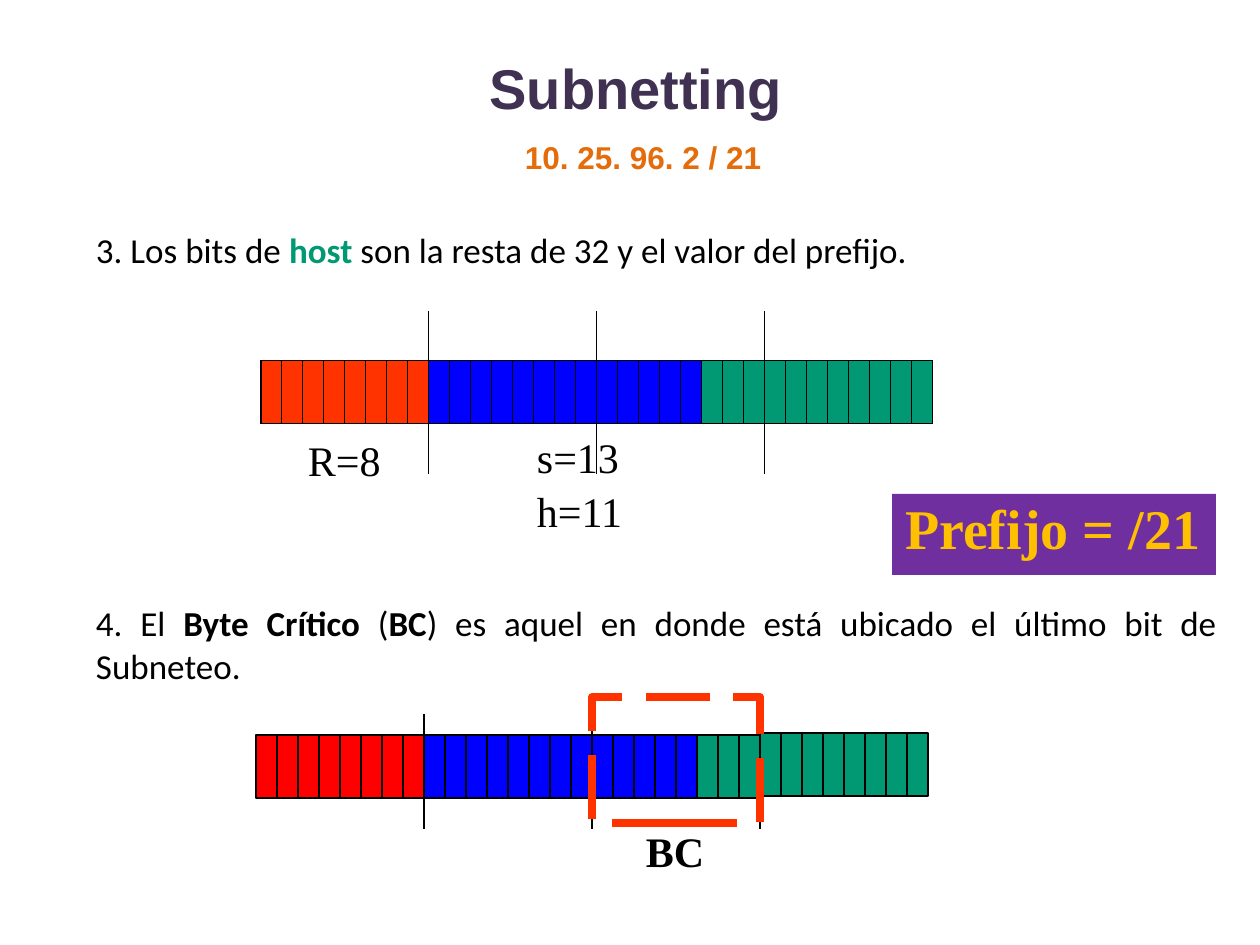
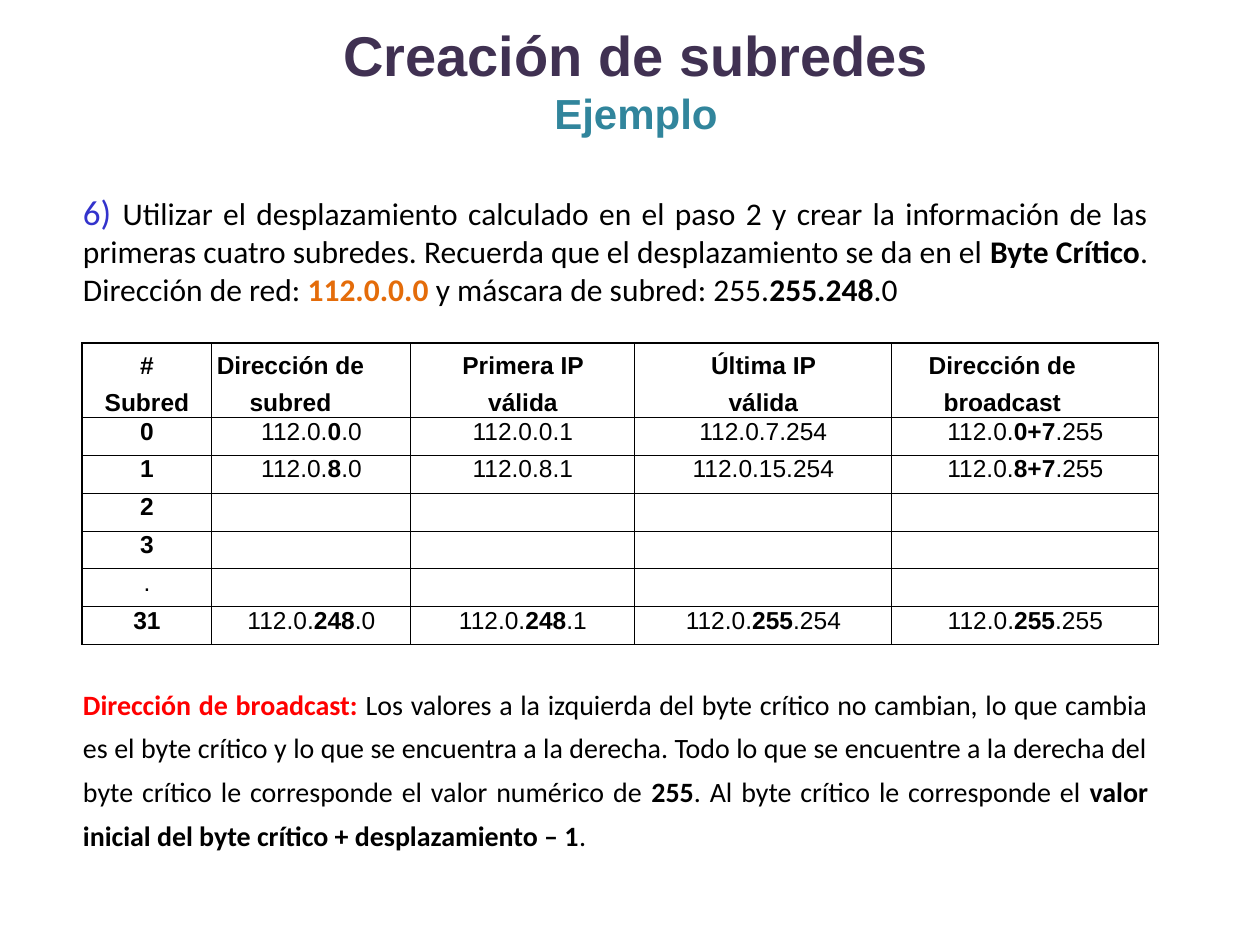
from lxml import etree
from pptx import Presentation
from pptx import util as u
from pptx.dml.color import RGBColor
from pptx.enum import dml, shapes, text
from pptx.oxml import ns

PX = u.Inches(1) / 126
BLACK, RED, BLUE, GREEN = "000000", "FF3300", "0000FF", "009973"
PURPLE, ORANGE, TEAL = "403152", "E46C0A", "31859C"
LINE_PT = 0.72
NO_STYLE = "{2D5ABB26-0587-4C30-8999-92F81FD0307C}"
LEFT, CENTER, JUSTIFY = (text.PP_ALIGN.LEFT, text.PP_ALIGN.CENTER,
                         text.PP_ALIGN.JUSTIFY)
BOLD = {"bold": True}

# A paragraph is a list of runs: plain text, or (text, format).
HOST_STEP = ["3. Los bits de ", ("host", {"bold": True, "color": GREEN}),
             " son la resta de 32 y el valor del prefijo."]
CRITICAL_STEP = ["4. El ", ("Byte Crítico", BOLD), " (", ("BC", BOLD),
                 ") es aquel en donde está ubicado el último bit de Subneteo."]
SUBNET_STEP = [
    ("6) ", {"size": 20, "color": "3333CC"}),
    "Utilizar el desplazamiento calculado en el paso 2 y crear la información "
    "de las primeras cuatro subredes. Recuerda que el desplazamiento se da en el ",
    ("Byte Crítico", BOLD), ". Dirección de red: ",
    ("112.0.0.0 ", {"bold": True, "color": ORANGE}),
    "y máscara de subred: 255.", ("255.248", BOLD), ".0"]
BROADCAST_NOTE = [
    ("Dirección de broadcast: ", {"bold": True, "color": "FF0000"}),
    "Los valores a la izquierda del byte crítico no cambian, lo que cambia es "
    "el byte crítico y lo que se encuentra a la derecha. Todo lo que se "
    "encuentre a la derecha del byte crítico le corresponde el valor numérico de ",
    ("255", BOLD), ". Al byte crítico le corresponde el ",
    ("valor inicial del byte crítico + desplazamiento – 1", BOLD), "."]

# Address bits: 8 of network, 13 of subnet, 11 of host.
BIT, BIT_H, BYTE = 21, 63, 8
BIT_COLORS = [RED] * 8 + [BLUE] * 13 + [GREEN] * 11
# First bit, number of bits, colour, lift
BIT_BLOCKS = [(0, 8, "FF0000", 0), (24, 8, GREEN, 2), (8, 8, BLUE, 0),
              (16, 5, BLUE, 0), (21, 3, GREEN, 0)]

# Header paragraphs, left margin, right margin, column width
SUBNET_COLS = [([["#"], ["Subred"]], 0, 0, 130),
               ([["Dirección de subred"]], 0, 42, 199),
               ([["Primera IP válida"]], 25, 25, 224),
               ([["Última IP válida"]], 55, 55, 257),
               ([["Dirección de broadcast"]], 13, 59, 267)]
# Number, then addresses as (start, critical byte in bold, end)
SUBNETS = [
    ("0", ("112.0.", "0", ".0"), "112.0.0.1", "112.0.7.254",
     ("112.0.", "0+7", ".255")),
    ("1", ("112.0.", "8", ".0"), "112.0.8.1", "112.0.15.254",
     ("112.0.", "8+7", ".255")),
    ("2", "", "", "", ""),
    ("3", "", "", "", ""),
    (".", "", "", "", ""),
    ("31", ("112.0.", "248", ".0"), ("112.0.", "248", ".1"),
     ("112.0.", "255", ".254"), ("112.0.", "255", ".255"))]


def px(*lengths):
    return [round(n * PX) for n in lengths]


def rgb(color):
    return RGBColor.from_string(color)


def write(tf, paragraphs, size, font="Calibri", color=BLACK, bold=False,
          align=LEFT, leading=None, before=0):
    for i, runs in enumerate(paragraphs):
        p = tf.paragraphs[0] if i == 0 else tf.add_paragraph()
        p.alignment = align
        if leading:
            p.line_spacing = u.Pt(leading)
        if i and before:
            p.space_before = u.Pt(before)
        for run in runs:
            words, fmt = (run, {}) if isinstance(run, str) else run
            r = p.add_run()
            r.text = words
            r.font.name = fmt.get("font", font)
            r.font.size = u.Pt(fmt.get("size", size))
            r.font.bold = fmt.get("bold", bold)
            r.font.color.rgb = rgb(fmt.get("color", color))


def set_margins(box, left=0, top=0, right=0, bottom=0):
    (box.margin_left, box.margin_top,
     box.margin_right, box.margin_bottom) = px(left, top, right, bottom)


def add_text(s, at, paragraphs, size, margins=(0, 0, 0, 0), **fmt):
    tf = s.shapes.add_textbox(*px(*at)).text_frame
    tf.word_wrap = True
    set_margins(tf, *margins)
    write(tf, paragraphs, size, **fmt)


def add_title(s, top, title, subtitle=None):
    sp = s.shapes.title
    sp.left, sp.top, sp.width, sp.height = px(12, top, 1235, 158)
    tf = sp.text_frame
    tf.auto_size = text.MSO_AUTO_SIZE.NONE
    tf.vertical_anchor = text.MSO_ANCHOR.MIDDLE
    set_margins(tf, 13, 6, 13, 6)
    lines = [[title]]
    if subtitle:
        lines.append([(subtitle, {"size": 24, "color": TEAL})])
    write(tf, lines, 32, font="Arial", color=PURPLE, bold=True, align=CENTER)
    tf.paragraphs[0]._p.get_or_add_pPr().set("marL", str(px(13)[0]))


def add_rect(s, at, fill=None, line=None, width=LINE_PT):
    sp = s.shapes.add_shape(shapes.MSO_SHAPE.RECTANGLE, *px(*at))
    sp.shadow.inherit = False
    if fill:
        sp.fill.solid()
        sp.fill.fore_color.rgb = rgb(fill)
    else:
        sp.fill.background()
    if line:
        sp.line.color.rgb = rgb(line)
        sp.line.width = u.Pt(width)
    else:
        sp.line.fill.background()
    return sp


def add_vertical(s, x, top, height):
    c = s.shapes.add_connector(shapes.MSO_CONNECTOR.STRAIGHT,
                               *px(x, top, x, top + height))
    c.line.color.rgb = rgb(BLACK)
    c.line.width = u.Pt(LINE_PT)
    etree.SubElement(c._element.spPr, ns.qn("a:effectLst"))


def add_plain_table(s, at, widths, heights):
    table = s.shapes.add_table(len(heights), len(widths), *px(*at)).table
    table.first_row = table.horz_banding = False
    table._tbl.tblPr.find(ns.qn("a:tableStyleId")).text = NO_STYLE
    for col, w in zip(table.columns, px(*widths)):
        col.width = w
    for row, h in zip(table.rows, px(*heights)):
        row.height = h
    for cell in table.iter_cells():
        set_margins(cell)
    return table


def set_borders(cell, sides="LRTB"):
    tcPr = cell._tc.get_or_add_tcPr()
    for side in sides:
        ln = etree.SubElement(tcPr, ns.qn(f"a:ln{side}"), w=str(u.Pt(LINE_PT)))
        fill = etree.SubElement(ln, ns.qn("a:solidFill"))
        etree.SubElement(fill, ns.qn("a:srgbClr"), val=BLACK)


def add_bit_table(s, left, top):
    bits = len(BIT_COLORS)
    heights = [50, BIT_H, 50]
    table = add_plain_table(s, (left, top, bits * BIT, sum(heights)),
                            [BIT] * bits, heights)
    for row in (0, 2):
        for first in range(0, bits, BYTE):
            cell = table.cell(row, first)
            cell.merge(table.cell(row, first + BYTE - 1))
            set_borders(cell, ("L" if first else "")
                        + ("R" if first + BYTE < bits else ""))
            cell.fill.background()
    for col, color in enumerate(BIT_COLORS):
        cell = table.cell(1, col)
        set_borders(cell)
        cell.fill.solid()
        cell.fill.fore_color.rgb = rgb(color)


def add_bit_bar(s, left, top):
    for first, count, color, lift in BIT_BLOCKS:
        x, y = left + first * BIT, top - lift
        add_rect(s, (x, y, count * BIT, BIT_H), color, BLACK)
        for i in range(1, count):
            add_vertical(s, x + i * BIT, y, BIT_H)
    for byte in (1, 2, 3):
        add_vertical(s, left + byte * BYTE * BIT, top - 21, 115)
    frame = add_rect(s, (left + 2 * BYTE * BIT, top - 38, BYTE * BIT, 126),
                     line=RED, width=4.56)
    frame.line.dash_style = dml.MSO_LINE.LONG_DASH


def add_subnet_table(s, left, top):
    widths = [col[3] for col in SUBNET_COLS]
    heights = [75] + [226 / len(SUBNETS)] * len(SUBNETS)
    table = add_plain_table(s, (left, top, sum(widths), sum(heights)),
                            widths, heights)
    for cell in table.iter_cells():
        set_borders(cell)
        cell.fill.background()
    for c, (header, before, after, _) in enumerate(SUBNET_COLS):
        cell = table.cell(0, c)
        set_margins(cell, left=before, right=after)
        write(cell.text_frame, header, 14, font="Arial", bold=True,
              align=CENTER, leading=21)
    for r, subnet in enumerate(SUBNETS, 1):
        for c, value in enumerate(subnet):
            if isinstance(value, str):
                runs = [value]
            else:
                runs = [value[0], (value[1], BOLD), value[2]]
            write(table.cell(r, c).text_frame, [runs], 14, font="Arial",
                  bold=c == 0 and value != ".", align=CENTER)


def build_subnetting(s):
    serif = {"font": "Times New Roman"}
    add_title(s, 8, "Subnetting")
    add_text(s, (512, 132, 630, 50), [["10. 25. 96. 2 / 21"]], 18,
             margins=(13, 6, 13, 6), font="Arial", color=ORANGE, bold=True)
    add_text(s, (96, 228, 1041, 43), [HOST_STEP], 20)
    add_text(s, (96, 602, 1121, 84), [CRITICAL_STEP], 20, align=JUSTIFY)
    add_bit_table(s, 261, 311)
    add_text(s, (308, 434, 100, 45), [["R=8"]], 24, **serif)
    add_text(s, (537, 432, 343, 99), [["s=13"], ["h=11"]], 24, before=1.5, **serif)
    add_bit_bar(s, 256, 735)
    add_text(s, (646, 825, 100, 45), [["BC"]], 24, bold=True, **serif)
    tf = add_rect(s, (892, 494, 324, 81), "6F2F9F").text_frame
    tf.vertical_anchor = text.MSO_ANCHOR.TOP
    set_margins(tf, left=13)
    write(tf, [["Prefijo = /21"]], 32, color="FFC000", bold=True, **serif)


def build_subnets(s):
    add_title(s, 0, "Creación de subredes", "Ejemplo")
    add_text(s, (83, 190, 1065, 118), [SUBNET_STEP], 18, align=JUSTIFY)
    add_subnet_table(s, 82, 343)
    add_text(s, (83, 677, 1065, 175), [BROADCAST_NOTE], 16, align=JUSTIFY,
             leading=25)


def main():
    prs = Presentation()
    prs.slide_width, prs.slide_height = px(1260, 945)
    for build in (build_subnetting, build_subnets):
        build(prs.slides.add_slide(prs.slide_layouts[5]))
    prs.save("out.pptx")


if __name__ == "__main__":
    main()
